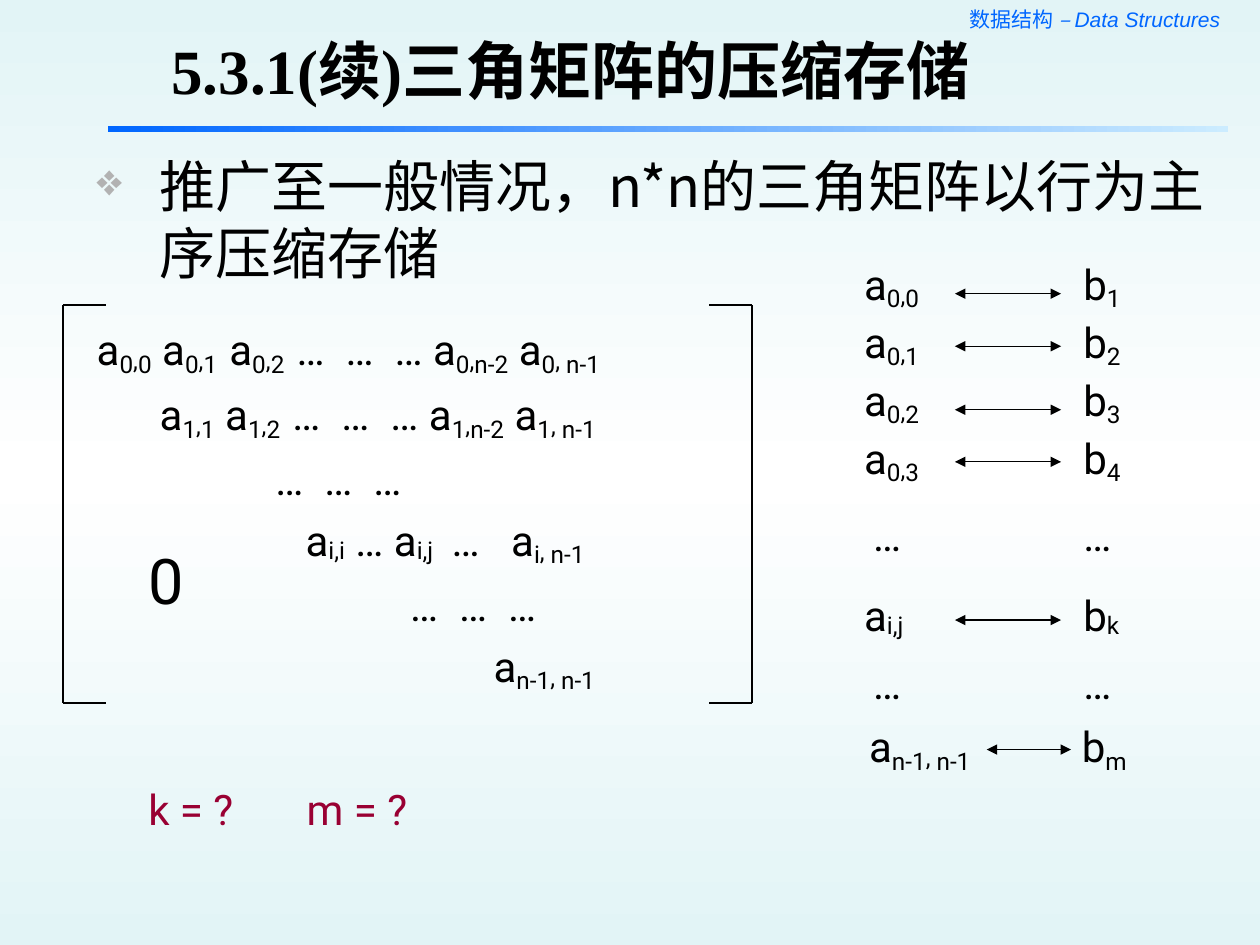
import dataclasses

import pptx
import pptx.dml.color
import pptx.enum.shapes
import pptx.enum.text
import pptx.oxml
import pptx.oxml.ns
import pptx.util

Cm = pptx.util.Cm
Pt = pptx.util.Pt
Align = pptx.enum.text.PP_ALIGN
Anchor = pptx.enum.text.MSO_ANCHOR
Fit = pptx.enum.text.MSO_AUTO_SIZE


@dataclasses.dataclass
class Theme:
    ink: str = "000000"
    blue: str = "0066FF"
    pale: str = "CCECFF"
    tint: str = "E2F4F6"
    white: str = "FFFFFF"
    red: str = "990033"
    mark: str = "B2B2B2"
    math: str = "Roboto"
    serif: str = "Times New Roman"
    sans: str = "Arial"
    han: str = "Noto Sans CJK SC"
    small: int = 12
    base: int = 24
    body: int = 32
    large: int = 36


def rgb(code):
    return pptx.dml.color.RGBColor.from_string(code)


def add(parent, tag, **attrs):
    """Append a drawing element with the given attributes."""
    node = parent.makeelement(pptx.oxml.ns.qn(tag), {})
    for key, value in attrs.items():
        node.set(key, str(value))
    parent.append(node)
    return node


def fade(fill, root, stops, angle):
    """Fill with a gradient of (percent, colour) stops."""
    fill.gradient()
    fill.gradient_angle = angle
    group = root.xpath(".//a:gsLst")[0]
    for old in list(group):
        group.remove(old)
    for place, code in stops:
        add(add(group, "a:gs", pos=place * 1000), "a:srgbClr", val=code)


def write(para, text, size, color, font, han=None, bold=False, italic=False, drop=0, track=0):
    """Add one run; drop lowers it by a percentage, track widens it in points."""
    run = para.add_run()
    run.text = text
    run.font.size = Pt(size)
    run.font.name = font
    run.font.bold = bold
    run.font.italic = italic
    run.font.color.rgb = rgb(color)
    props = run.font._element
    if han:
        add(props, "a:ea", typeface=han)
    if drop:
        props.set("baseline", str(-drop * 1000))
    if track:
        props.set("spc", str(int(track * 100)))


def term(para, text, **form):
    """Write a term: a_x,y has a low index, a~x,y a slightly lowered one."""
    if "~" in text:
        stem, index = text.split("~")
        write(para, stem, **form)
        write(para, index, drop=8, **form)
        return
    stem, _, index = text.partition("_")
    write(para, stem, **form)
    first, comma, last = index.partition(",")
    for part, drop in ((first, 18), (comma, 10), (last, 18)):
        if part:
            write(para, part, drop=drop, **form)


class Page:
    def __init__(self, deck, theme):
        self.theme = theme
        self.slide = deck.slides.add_slide(deck.slide_layouts[5])
        self.shapes = self.slide.shapes
        self.math = dict(size=theme.base, color=theme.ink, font=theme.math)
        fade(self.slide.background.fill, self.slide.element,
             ((0, theme.tint), (50, theme.white), (100, theme.tint)), 90)

    def title(self, text, x, y, w, h):
        shape = self.shapes.title
        shape.left, shape.top, shape.width, shape.height = map(Cm, (x, y, w, h))
        frame = shape.text_frame
        frame.auto_size = Fit.NONE
        frame.vertical_anchor = Anchor.BOTTOM
        frame.margin_top = frame.margin_bottom = Cm(0.1)
        para = frame.paragraphs[0]
        para.alignment = Align.LEFT
        write(para, text, self.theme.large, self.theme.ink, self.theme.serif,
              han=self.theme.han, bold=True)

    def box(self, x, y, w, h, wrap=True):
        frame = self.shapes.add_textbox(*map(Cm, (x, y, w, h))).text_frame
        frame.word_wrap = wrap
        frame.auto_size = Fit.SHAPE_TO_FIT_TEXT
        return frame

    def label(self, text, x, y, w, h, wrap=False, **form):
        para = self.box(x, y, w, h, wrap).paragraphs[0]
        term(para, text, **{**self.math, **form})

    def rows(self, rows, x, y, w, h, **form):
        """Lines of terms, each with its indent and the tracking of its gaps."""
        form = {**self.math, **form}
        frame = self.box(x, y, w, h)
        for i, (indent, terms, gaps) in enumerate(rows):
            para = frame.add_paragraph() if i else frame.paragraphs[0]
            props = para._p.get_or_add_pPr()
            props.set("marL", str(Cm(indent)))
            props.set("indent", "0")
            if i:
                para.space_before = Pt(6)
            term(para, terms[0], **form)
            for gap, text in zip(gaps, terms[1:]):
                write(para, " ", track=gap, **form)
                term(para, text, **form)

    def bullet(self, text, x, y, w, h):
        para = self.box(x, y, w, h).paragraphs[0]
        props = para._p.get_or_add_pPr()
        props.set("marL", str(Cm(1.27)))
        props.set("indent", str(Cm(-1.27)))
        add(add(props, "a:buClr"), "a:srgbClr", val=self.theme.mark)
        add(props, "a:buSzPct", val=80000)
        add(props, "a:buChar", char="❖")
        write(para, text, self.theme.body, self.theme.ink, self.theme.han, han=self.theme.han)

    def bar(self, x, y, w, h):
        kind = pptx.enum.shapes.MSO_SHAPE.RECTANGLE
        shape = self.shapes.add_shape(kind, *map(Cm, (x, y, w, h)))
        shape.shadow.inherit = False
        shape.line.fill.background()
        fade(shape.fill, shape.element, ((0, self.theme.pale), (100, self.theme.blue)), 180)

    def line(self, x1, y1, x2, y2, arrow=False):
        kind = pptx.enum.shapes.MSO_CONNECTOR.STRAIGHT
        link = self.shapes.add_connector(kind, *map(Cm, (x1, y1, x2, y2)))
        link.line.color.rgb = rgb(self.theme.ink)
        link.line.width = Pt(0.75)
        if arrow:
            stroke = link.line._get_or_add_ln()
            add(stroke, "a:headEnd", type="triangle")
            add(stroke, "a:tailEnd", type="triangle")
        add(link.element.spPr, "a:effectLst")


def main():
    deck = pptx.Presentation()
    deck.slide_width, deck.slide_height = Cm(25.4), Cm(19.05)
    theme = Theme()
    page = Page(deck, theme)

    # Running head, rule and title
    para = page.box(15.24, 0, 9.73, 0.76).paragraphs[0]
    para.alignment = Align.RIGHT
    write(para, "数据结构 ", theme.small, theme.blue, theme.serif, han=theme.han)
    write(para, "– Data Structures ", theme.small, theme.blue, theme.sans, italic=True)
    page.bar(2.18, 2.54, 22.58, 0.13)
    page.title("5.3.1(续)三角矩阵的压缩存储", 3.2, 1.09, 22.2, 1.17)
    page.bullet("推广至一般情况，n*n的三角矩阵以行为主序压缩存储", 1.7, 2.92, 23.29, 2.97)

    # Upper triangular matrix
    dots = ["…"] * 3
    tight, wide = -2.5, 6
    page.rows([
        (0, ["a_0,0", "a_0,1", "a_0,2", *dots, "a_0,n-2", "a_0, n-1"],
         [tight, 1, 1, wide, wide, 0, 0]),
        (1.27, ["a_1,1", "a_1,2", *dots, "a_1,n-2", "a_1, n-1"],
         [tight, 1, wide, wide, 0, 0]),
        (3.6, dots, [wide, wide]),
        (4.21, ["a~i,i", "…", "a~i,j", "…", "a_i, n-1"], [0, 0, 4.5, 2 * wide]),
        (6.32, dots, [wide, wide]),
        (8, ["a_n-1, n-1"], []),
    ], 1.7, 6.4, 13.08, 7.75)
    top, base = 6.15, 14.17
    for edge, tip in ((1.27, 2.13), (15.16, 14.3)):
        page.line(edge, top, edge, base)
        for y in (top, base):
            page.line(edge, y, tip, y)
    page.label("0", 2.74, 10.8, 1.27, 1.78, wrap=True, size=theme.large)

    # Matrix items matched to the stored sequence
    for i, y in enumerate((5.92, 6.98, 8.26, 9.31)):
        row = 5.08 + 1.17 * i
        page.label(f"a_0,{i}", 17.17, row, 1.68, 1.35)
        page.label(f"b_{i + 1}", 21.59, row, 1.3, 1.35)
        page.line(19.25, y, 21.39, y, arrow=True)
    page.label("a~i,j", 17.17, 11.76, 1.37, 1.27)
    page.label("b~k", 21.59, 11.76, 1.3, 1.27)
    page.line(19.25, 12.5, 21.39, 12.5, arrow=True)
    page.label("a_n-1, n-1", 17.27, 14.4, 2.72, 1.35)
    page.label("b_m", 21.56, 14.4, 1.47, 1.35)
    page.line(19.89, 15.11, 21.59, 15.11, arrow=True)
    for y in (10.15, 13.13):
        for x in (17.35, 21.59):
            page.label("…", x, y, 1.7, 1.27, wrap=True)

    # Questions
    page.rows([(0.84, ["k = ?", "m = ?"], [6 * wide])], 1.9, 15.67, 9.53, 1.27, color=theme.red)

    deck.save("out.pptx")


if __name__ == "__main__":
    main()
